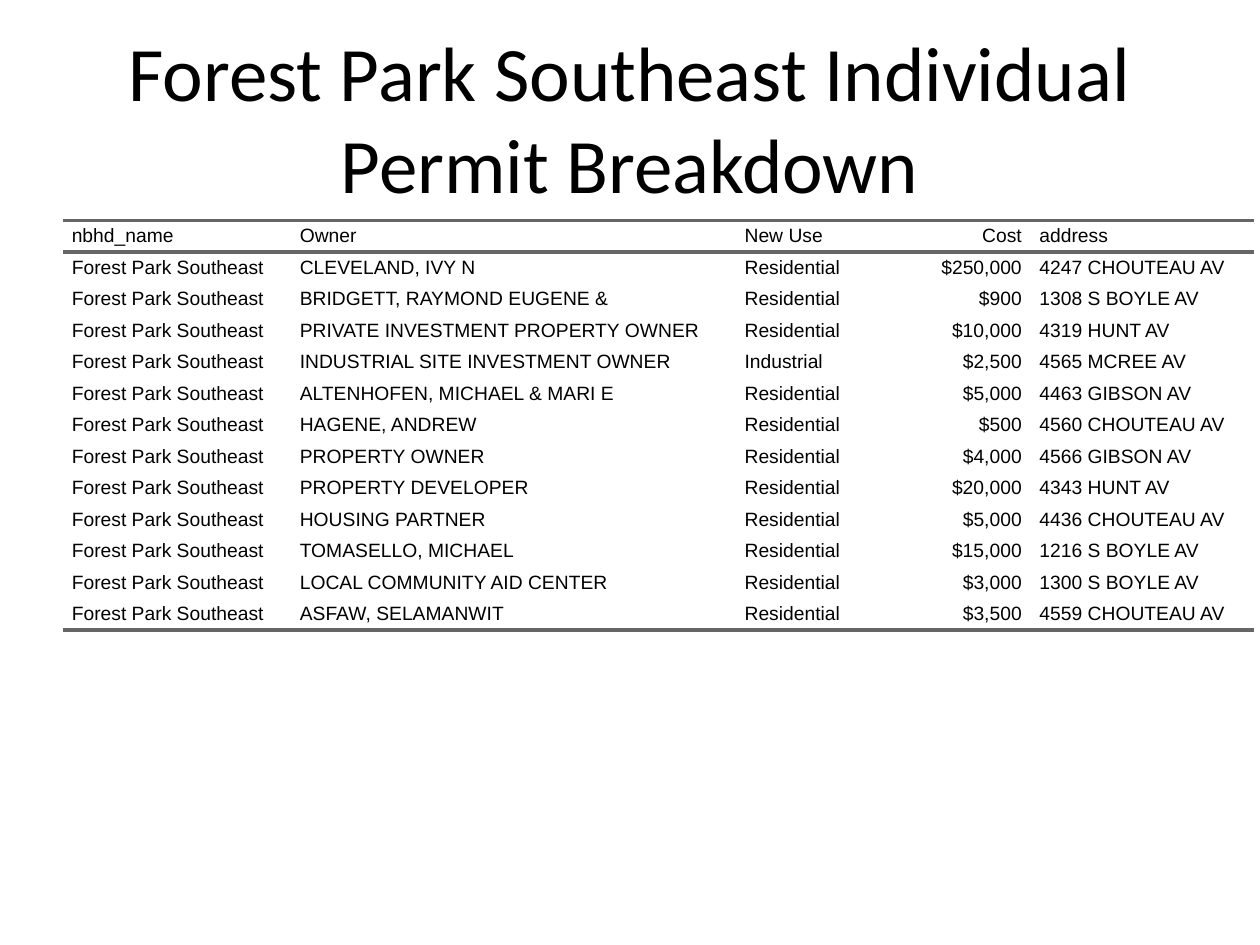
"""Build the Forest Park Southeast permit breakdown slide."""
from dataclasses import dataclass

from lxml import etree
from pptx import Presentation, util as u
from pptx.dml.color import RGBColor
from pptx.enum import text
from pptx.oxml.ns import qn


@dataclass(frozen=True)
class Theme:
    ink: str = "000000"
    rule: str = "666666"
    title_font: str = "Calibri"
    table_font: str = "Arial"
    title_size: int = 44
    table_size: int = 11
    rule_width: int = 2
    plain_table_style: str = "{2D5ABB26-0587-4C30-8999-92F81FD0307C}"


@dataclass(frozen=True)
class Column:
    heading: str
    share: float
    align: text.PP_ALIGN = text.PP_ALIGN.LEFT


@dataclass(frozen=True)
class Permit:
    owner: str
    cost: int
    address: str
    use: str = "Residential"
    neighborhood: str = "Forest Park Southeast"

    def cells(self) -> tuple:
        return self.neighborhood, self.owner, self.use, f"${self.cost:,}", self.address


THEME = Theme()
WIDTH, HEIGHT = u.Inches(10), u.Inches(7.5)
MARGIN = 0.05
TITLE_TOP, TITLE_HEIGHT = 0.04, 1 / 6
TABLE_TOP, ROW_HEIGHT = 1.75 / 7.5, 1 / 30
CELL_PADDING = u.Inches(0.07)

COLUMNS = [
    Column("nbhd_name", 0.181),
    Column("Owner", 0.353),
    Column("New Use", 0.104),
    Column("Cost", 0.13, text.PP_ALIGN.RIGHT),
    Column("address", 0.177),
]

PERMITS = [
    Permit("CLEVELAND, IVY N", 250000, "4247 CHOUTEAU AV"),
    Permit("BRIDGETT, RAYMOND EUGENE &", 900, "1308 S BOYLE AV"),
    Permit("PRIVATE INVESTMENT PROPERTY OWNER", 10000, "4319 HUNT AV"),
    Permit("INDUSTRIAL SITE INVESTMENT OWNER", 2500, "4565 MCREE AV", "Industrial"),
    Permit("ALTENHOFEN, MICHAEL & MARI E", 5000, "4463 GIBSON AV"),
    Permit("HAGENE, ANDREW", 500, "4560 CHOUTEAU AV"),
    Permit("PROPERTY OWNER", 4000, "4566 GIBSON AV"),
    Permit("PROPERTY DEVELOPER", 20000, "4343 HUNT AV"),
    Permit("HOUSING PARTNER", 5000, "4436 CHOUTEAU AV"),
    Permit("TOMASELLO, MICHAEL", 15000, "1216 S BOYLE AV"),
    Permit("LOCAL COMMUNITY AID CENTER", 3000, "1300 S BOYLE AV"),
    Permit("ASFAW, SELAMANWIT", 3500, "4559 CHOUTEAU AV"),
]


def style_paragraph(para, align: text.PP_ALIGN, font: str, size: int) -> None:
    """Apply alignment and type to a paragraph."""
    para.alignment = align
    para.font.name = font
    para.font.size = u.Pt(size)
    para.font.color.rgb = RGBColor.from_string(THEME.ink)


def add_rules(cell, edges: tuple[str, ...]) -> None:
    """Draw grey rules on the named edges of a cell."""
    properties = cell._tc.get_or_add_tcPr()
    for position, edge in enumerate(edges):
        line = etree.Element(qn(f"a:{edge}"), w=str(u.Pt(THEME.rule_width)))
        fill = etree.SubElement(line, qn("a:solidFill"))
        etree.SubElement(fill, qn("a:srgbClr"), val=THEME.rule)
        properties.insert(position, line)


def fill_cell(cell, words: str, column: Column, edges: tuple[str, ...]) -> None:
    """Write one table cell with its padding and rules."""
    cell.text = words
    cell.margin_left = cell.margin_right = CELL_PADDING
    cell.margin_top = cell.margin_bottom = 0
    cell.vertical_anchor = text.MSO_ANCHOR.MIDDLE
    cell.fill.background()
    style_paragraph(cell.text_frame.paragraphs[0], column.align,
                    THEME.table_font, THEME.table_size)
    add_rules(cell, edges)


def add_title(page, words: str) -> None:
    """Place and format the slide title."""
    box = page.shapes.title
    box.left, box.top = int(WIDTH * MARGIN), int(HEIGHT * TITLE_TOP)
    box.width, box.height = int(WIDTH * (1 - 2 * MARGIN)), int(HEIGHT * TITLE_HEIGHT)
    frame = box.text_frame
    frame.text = words
    frame.word_wrap = True
    frame.auto_size = text.MSO_AUTO_SIZE.NONE
    frame.vertical_anchor = text.MSO_ANCHOR.MIDDLE
    style_paragraph(frame.paragraphs[0], text.PP_ALIGN.CENTER,
                    THEME.title_font, THEME.title_size)


def add_permit_table(page, columns: list[Column], permits: list[Permit]) -> None:
    """Add the ruled table of permits."""
    rows = [tuple(column.heading for column in columns)]
    rows += [permit.cells() for permit in permits]
    row_height = int(HEIGHT * ROW_HEIGHT)
    table = page.shapes.add_table(
        len(rows), len(columns), int(WIDTH * MARGIN), int(HEIGHT * TABLE_TOP),
        int(WIDTH * sum(column.share for column in columns)), row_height * len(rows),
    ).table
    table.first_row = table.horz_banding = False
    table._tbl.tblPr.find(qn("a:tableStyleId")).text = THEME.plain_table_style
    for target, column in zip(table.columns, columns):
        target.width = int(WIDTH * column.share)
    edges = {0: ("lnT", "lnB"), len(rows) - 1: ("lnB",)}
    for index, (row, words) in enumerate(zip(table.rows, rows)):
        row.height = row_height
        for cell, word, column in zip(row.cells, words, columns):
            fill_cell(cell, word, column, edges.get(index, ()))


def main() -> None:
    """Create and save the deck."""
    deck = Presentation()
    deck.slide_width, deck.slide_height = WIDTH, HEIGHT
    page = deck.slides.add_slide(deck.slide_layouts.get_by_name("Title Only"))
    add_title(page, "Forest Park Southeast Individual Permit Breakdown")
    add_permit_table(page, COLUMNS, PERMITS)
    deck.save("out.pptx")


if __name__ == "__main__":
    main()
